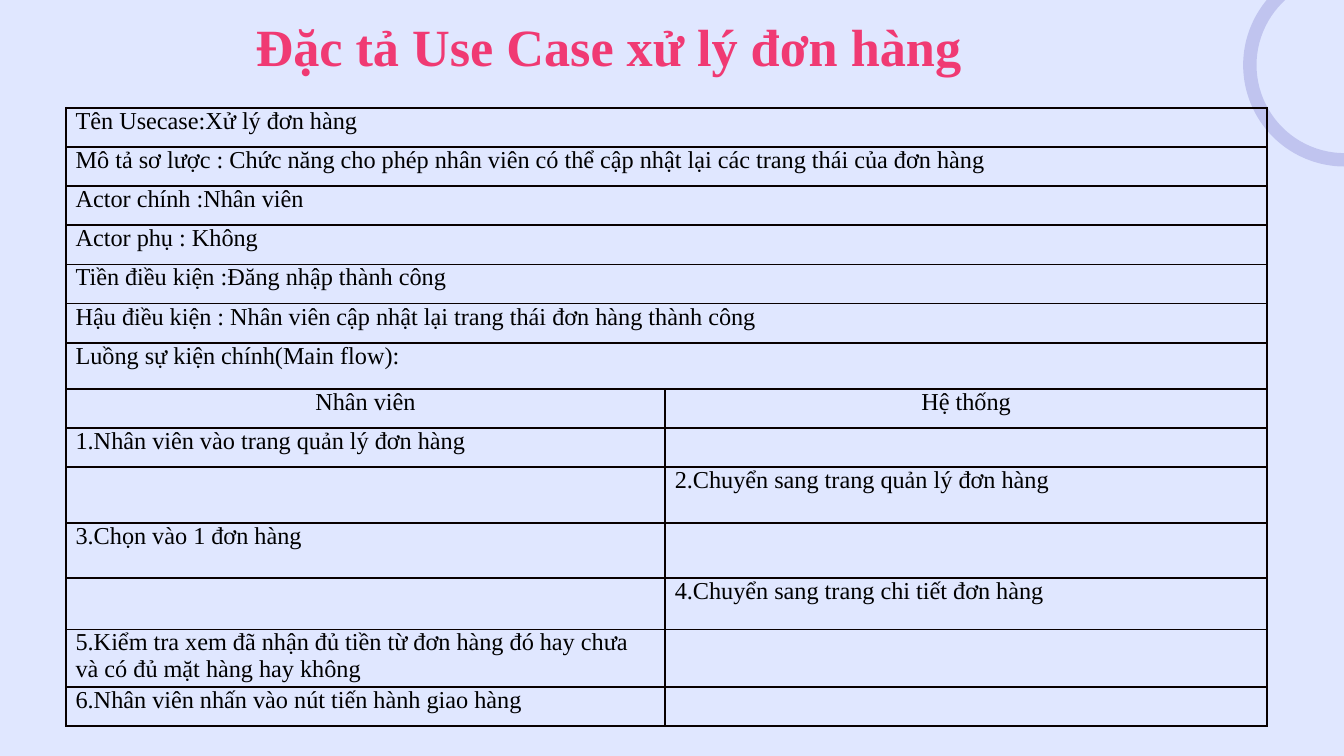
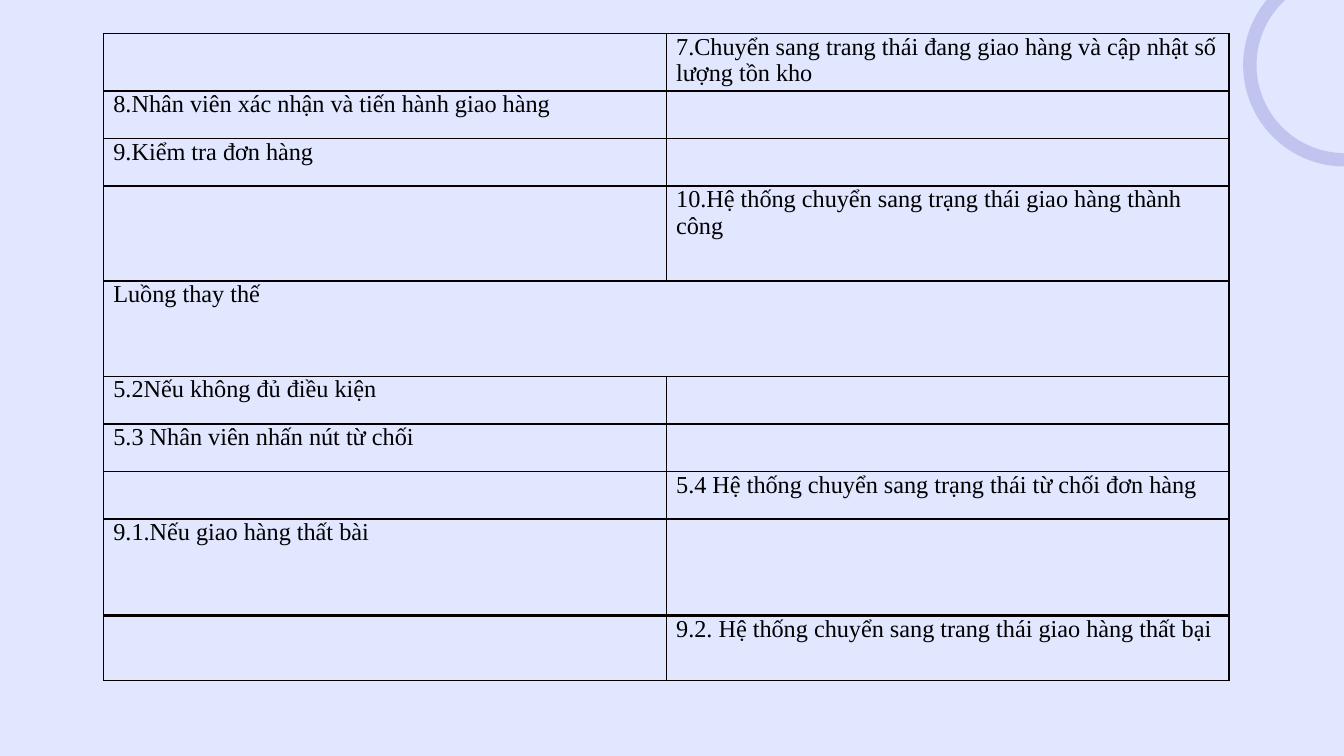
"""Builds two slides specifying the order-processing use case."""
from lxml.etree import SubElement
from pptx import Presentation
from pptx.dml.color import RGBColor
from pptx.enum.shapes import MSO_SHAPE
from pptx.enum.text import MSO_ANCHOR, MSO_AUTO_SIZE, PP_ALIGN
from pptx.oxml.ns import qn
from pptx.util import Pt

PX = 9525
FONT = "Times New Roman"
COLORS = {"bg": "E0E7FF", "ring": "1B129C", "title": "F03A73", "text": "000000", "border": "080000"}

main_rows = [
    (28, "Tên Usecase:Xử lý đơn hàng", None),
    (28, "Mô tả sơ lược : Chức năng cho phép nhân viên có thể cập nhật lại các trang thái của đơn hàng", None),
    (28, "Actor chính :Nhân viên", None),
    (28, "Actor phụ : Không", None),
    (28, "Tiền điều kiện :Đăng nhập thành công", None),
    (28, "Hậu điều kiện : Nhân viên cập nhật lại trang thái đơn hàng thành công", None),
    (33, "Luồng sự kiện chính(Main flow):", None),
    (28, "Nhân viên", "Hệ thống"),
    (28, "1.Nhân viên vào trang quản lý đơn hàng", ""),
    (40, "", "2.Chuyển sang trang quản lý đơn hàng"),
    (39, "3.Chọn vào 1 đơn hàng", ""),
    (37, "", "4.Chuyển sang trang chi tiết đơn hàng"),
    (41, "5.Kiểm tra xem đã nhận đủ tiền từ đơn hàng đó hay chưa và có đủ mặt hàng hay không", ""),
    (28, "6.Nhân viên nhấn vào nút tiến hành giao hàng", ""),
]
alternative_rows = [
    (41, "", "7.Chuyển sang trang thái đang giao hàng và cập nhật số lượng tồn kho"),
    (34, "8.Nhân viên xác nhận và tiến hành giao hàng", ""),
    (34, "9.Kiểm tra đơn hàng", ""),
    (68, "", "10.Hệ thống chuyển sang trạng thái giao hàng thành công"),
    (68, "Luồng thay thế", None),
    (34, "5.2Nếu không đủ điều kiện", ""),
    (34, "5.3 Nhân viên nhấn nút từ chối", ""),
    (34, "", "5.4 Hệ thống chuyển sang trạng thái từ chối đơn hàng"),
    (68, "9.1.Nếu giao hàng thất bài", ""),
]
failure_rows = [(46, "", "9.2. Hệ thống chuyển sang trang thái giao hàng thất bại")]


def style_cell(cell, text, align):
    cell.margin_left = cell.margin_right = 7 * PX
    cell.margin_top = cell.margin_bottom = 0
    tc_pr = cell._tc.get_or_add_tcPr()
    for side in ("lnL", "lnR", "lnT", "lnB"):
        ln = SubElement(tc_pr, qn(f"a:{side}"), w=str(Pt(1)))
        SubElement(SubElement(ln, qn("a:solidFill")), qn("a:srgbClr"), val=COLORS["border"])
    cell.fill.background()
    p = cell.text_frame.paragraphs[0]
    p.text = text
    p.alignment = align
    for r in p.runs:
        r.font.size, r.font.name = Pt(13), FONT
        r.font.color.rgb = RGBColor.from_string(COLORS["text"])
    if not text:
        end = SubElement(p._p, qn("a:endParaRPr"), sz="1300")
        SubElement(end, qn("a:latin"), typeface=FONT)


def add_flow_table(s, left, top, widths, rows):
    height = sum(row[0] for row in rows)
    table = s.shapes.add_table(len(rows), 2, left * PX, top * PX, sum(widths) * PX, height * PX).table
    table.first_row = table.horz_banding = False
    for column, width in zip(table.columns, widths):
        column.width = width * PX
    for i, (row_height, *texts) in enumerate(rows):
        table.rows[i].height = row_height * PX
        align = PP_ALIGN.CENTER if texts == ["Nhân viên", "Hệ thống"] else PP_ALIGN.LEFT
        for j, text in enumerate(texts):
            style_cell(table.cell(i, j), text or "", align)
        if texts[1] is None:
            table.cell(i, 0).merge(table.cell(i, 1))


prs = Presentation()
prs.slide_width, prs.slide_height = 960 * PX, 540 * PX
fill = prs.slide_master.background.fill
fill.solid()
fill.fore_color.rgb = RGBColor.from_string(COLORS["bg"])

main_slide = prs.slides.add_slide(prs.slide_layouts[5])
alternative_slide = prs.slides.add_slide(prs.slide_layouts[6])
for s in prs.slides:
    ring = s.shapes.add_shape(MSO_SHAPE.DONUT, 888 * PX, -26 * PX, 145 * PX, 145 * PX)
    ring.adjustments[0] = 0.066
    ring.shadow.inherit = False
    ring.line.fill.background()
    ring.fill.solid()
    ring.fill.fore_color.rgb = RGBColor.from_string(COLORS["ring"])
    color = ring._element.spPr.find(qn("a:solidFill"))[0]
    SubElement(color, qn("a:alpha"), val="16000")

title = main_slide.shapes.title
title.left, title.top, title.width, title.height = 84 * PX, 0, 701 * PX, 66 * PX
tf = title.text_frame
tf.text = "Đặc tả Use Case xử lý đơn hàng"
tf.auto_size = MSO_AUTO_SIZE.NONE
tf.vertical_anchor = MSO_ANCHOR.TOP
tf.margin_left = tf.margin_right = tf.margin_top = tf.margin_bottom = 10 * PX
p = tf.paragraphs[0]
p.alignment = PP_ALIGN.CENTER
font = p.runs[0].font
font.size, font.name, font.bold = Pt(28), FONT, True
font.color.rgb = RGBColor.from_string(COLORS["title"])

add_flow_table(main_slide, 47, 77, (428, 430), main_rows)
add_flow_table(alternative_slide, 74, 24, (402, 402), alternative_rows)
add_flow_table(alternative_slide, 74, 440, (402, 402), failure_rows)

prs.save("out.pptx")
